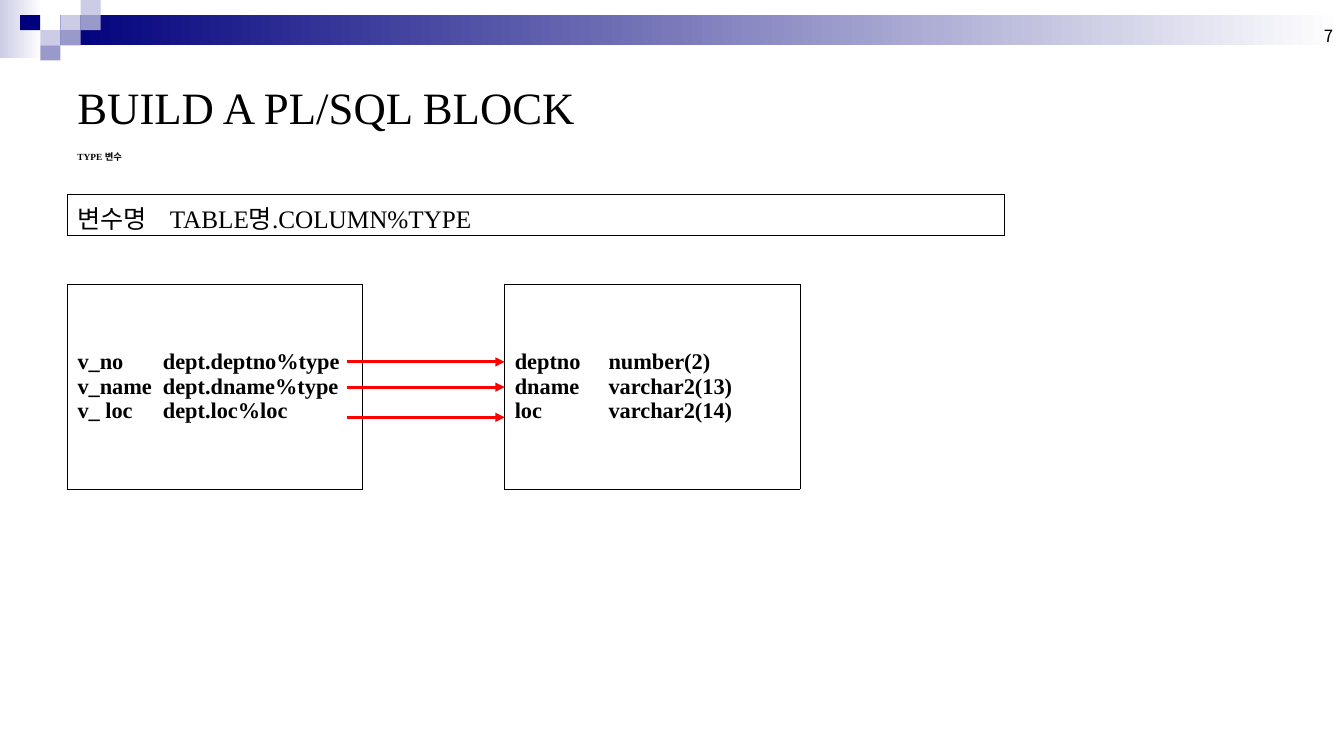
from dataclasses import dataclass

import pptx
import pptx.dml.color
import pptx.enum.shapes
import pptx.enum.text
import pptx.oxml
import pptx.oxml.ns
import pptx.util

Pt = pptx.util.Pt
Align = pptx.enum.text.PP_ALIGN
Anchor = pptx.enum.text.MSO_ANCHOR


@dataclass(frozen=True)
class Theme:
    navy: str = "00007D"
    violet: str = "9999CC"
    lavender: str = "CCCCE6"
    white: str = "FFFFFF"
    black: str = "000000"
    red: str = "FF0000"
    serif: str = "Times New Roman"
    korean: str = "Noto Sans CJK KR"
    title: float = 32
    definition: float = 18
    code: float = 16
    number: float = 12
    subtitle: float = 6.7
    border: float = 0.45
    arrow: float = 2.25


THEME = Theme()


@dataclass(frozen=True)
class Box:
    left: float
    top: float
    width: float
    height: float

    def lengths(self) -> tuple:
        return Pt(self.left), Pt(self.top), Pt(self.width), Pt(self.height)


@dataclass(frozen=True)
class Band:
    box: Box
    start: str


@dataclass(frozen=True)
class Square:
    column: int
    row: int
    color: str


@dataclass(frozen=True)
class Label:
    text: str
    box: Box
    size: float
    font: str = THEME.serif
    bold: bool = False
    align: Align = Align.LEFT
    anchor: Anchor = Anchor.TOP


@dataclass(frozen=True)
class Panel:
    """A framed one-cell table whose lines share one tab stop."""
    lines: tuple[str, ...]
    box: Box
    size: float
    tab: float
    bold: bool = False
    anchor: Anchor = Anchor.TOP


SLIDE = Box(0, 0, 960.48, 540)
SQUARE_WIDTH, SQUARE_HEIGHT = 14.4, 10.8
LEFT = 48.2
FRAME = Box(LEFT, 203, 211, 146.2)
COLUMNS_LEFT = 360.7
ARROW_LEFT = 247.7
ARROW_TOPS = (258.5, 276.5, 298.1)

BANDS = (
    Band(Box(0, 0, 30.2, 41.8), THEME.lavender),
    Band(Box(43.2, 10.8, 916.6, 21.6), THEME.navy),
)
SQUARES = (
    Square(3, 1, THEME.lavender),
    Square(4, 0, THEME.lavender),
    Square(4, 1, THEME.violet),
    Square(2, 2, THEME.lavender),
    Square(1, 1, THEME.navy),
    Square(3, 2, THEME.violet),
    Square(2, 3, THEME.violet),
)
NUMBER = Label("7", Box(735.8, 0, 224, 36), THEME.number, THEME.korean,
               align=Align.RIGHT, anchor=Anchor.BOTTOM)
TITLE = Label("BUILD A PL/SQL BLOCK", Box(LEFT, 36, 864, 80.6), THEME.title,
              anchor=Anchor.MIDDLE)
SUBTITLE = Label("TYPE 변수", Box(LEFT, 105.8, 823, 16.6), THEME.subtitle, bold=True)
PANELS = (
    Panel(("v_no\tdept.deptno%type", "v_name\tdept.dname%type", "v_ loc\tdept.loc%loc"),
          FRAME, THEME.code, 61, True, Anchor.MIDDLE),
    Panel(("변수명\tTABLE명.COLUMN%TYPE",), Box(LEFT, 139, 669.6, 28.8),
          THEME.definition, 66),
    Panel(("deptno\tnumber(2)", "dname\tvarchar2(13)", "loc\tvarchar2(14)"),
          Box(COLUMNS_LEFT, FRAME.top, FRAME.width, FRAME.height),
          THEME.code, 67, True, Anchor.MIDDLE),
)


def rgb(color: str) -> pptx.dml.color.RGBColor:
    return pptx.dml.color.RGBColor.from_string(color)


def add_xml(parent, tag: str, **attributes: str):
    element = pptx.oxml.ns.qn(tag)
    child = parent.makeelement(element, attributes)
    parent.append(child)
    return child


def add_rectangle(slide, box: Box):
    shape = slide.shapes.add_shape(pptx.enum.shapes.MSO_SHAPE.RECTANGLE, *box.lengths())
    shape.shadow.inherit = False
    shape.line.fill.background()
    return shape


def add_band(slide, band: Band) -> None:
    fill = add_rectangle(slide, band.box).fill
    fill.gradient()
    fill.gradient_angle = 0
    for stop, color in zip(fill.gradient_stops, (band.start, THEME.white)):
        stop.color.rgb = rgb(color)


def add_square(slide, square: Square) -> None:
    box = Box(square.column * SQUARE_WIDTH, square.row * SQUARE_HEIGHT,
              SQUARE_WIDTH, SQUARE_HEIGHT)
    fill = add_rectangle(slide, box).fill
    fill.solid()
    fill.fore_color.rgb = rgb(square.color)


def format_runs(paragraph, size: float, font: str, bold: bool) -> None:
    for run in paragraph.runs:
        run.font.size = Pt(size)
        run.font.name = font
        run.font.bold = bold
        run.font.color.rgb = rgb(THEME.black)
        add_xml(run.font._element, "a:ea", typeface=THEME.korean)


def add_label(slide, label: Label):
    frame = slide.shapes.add_textbox(*label.box.lengths()).text_frame
    frame.word_wrap = True
    frame.vertical_anchor = label.anchor
    frame.text = label.text
    paragraph = frame.paragraphs[0]
    paragraph.alignment = label.align
    format_runs(paragraph, label.size, label.font, label.bold)
    return paragraph


def add_panel(slide, panel: Panel) -> None:
    table = slide.shapes.add_table(1, 1, *panel.box.lengths()).table
    table.first_row = table.horz_banding = False
    cell = table.cell(0, 0)
    cell.vertical_anchor = panel.anchor
    cell.text_frame.text = "\n".join(panel.lines)
    for paragraph in cell.text_frame.paragraphs:
        format_runs(paragraph, panel.size, THEME.serif, panel.bold)
        tabs = add_xml(paragraph._p.get_or_add_pPr(), "a:tabLst")
        add_xml(tabs, "a:tab", pos=str(Pt(panel.tab)), algn="l")
    properties = cell._tc.get_or_add_tcPr()
    for side in ("a:lnL", "a:lnR", "a:lnT", "a:lnB"):
        line = add_xml(properties, side, w=str(Pt(THEME.border)))
        add_xml(add_xml(line, "a:solidFill"), "a:srgbClr", val=THEME.black)
    cell.fill.background()


def add_arrow(slide, top: float) -> None:
    arrow = slide.shapes.add_connector(
        pptx.enum.shapes.MSO_CONNECTOR.STRAIGHT,
        Pt(ARROW_LEFT), Pt(top), Pt(COLUMNS_LEFT), Pt(top))
    arrow.line.color.rgb = rgb(THEME.red)
    arrow.line.width = Pt(THEME.arrow)
    add_xml(arrow.line._get_or_add_ln(), "a:tailEnd", type="triangle")
    add_xml(arrow._element.spPr, "a:effectLst")


def main() -> None:
    presentation = pptx.Presentation()
    presentation.slide_width = Pt(SLIDE.width)
    presentation.slide_height = Pt(SLIDE.height)
    slide = presentation.slides.add_slide(presentation.slide_layouts[6])
    for band in BANDS:
        add_band(slide, band)
    for square in SQUARES:
        add_square(slide, square)
    add_label(slide, NUMBER)
    add_label(slide, TITLE)
    subtitle = add_label(slide, SUBTITLE)
    subtitle.line_spacing = 0.8
    subtitle.space_before = Pt(3.5)
    for panel in PANELS:
        add_panel(slide, panel)
    for top in ARROW_TOPS:
        add_arrow(slide, top)
    presentation.save("out.pptx")


if __name__ == "__main__":
    main()
